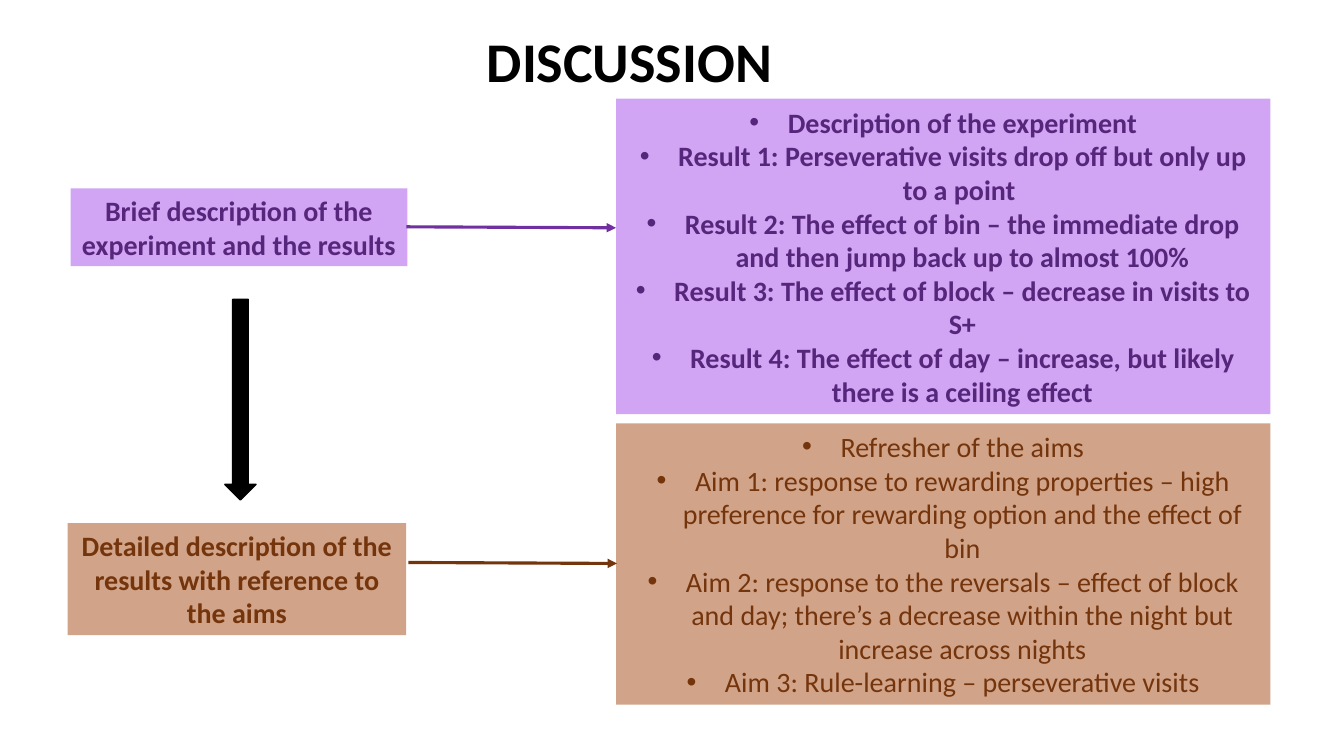
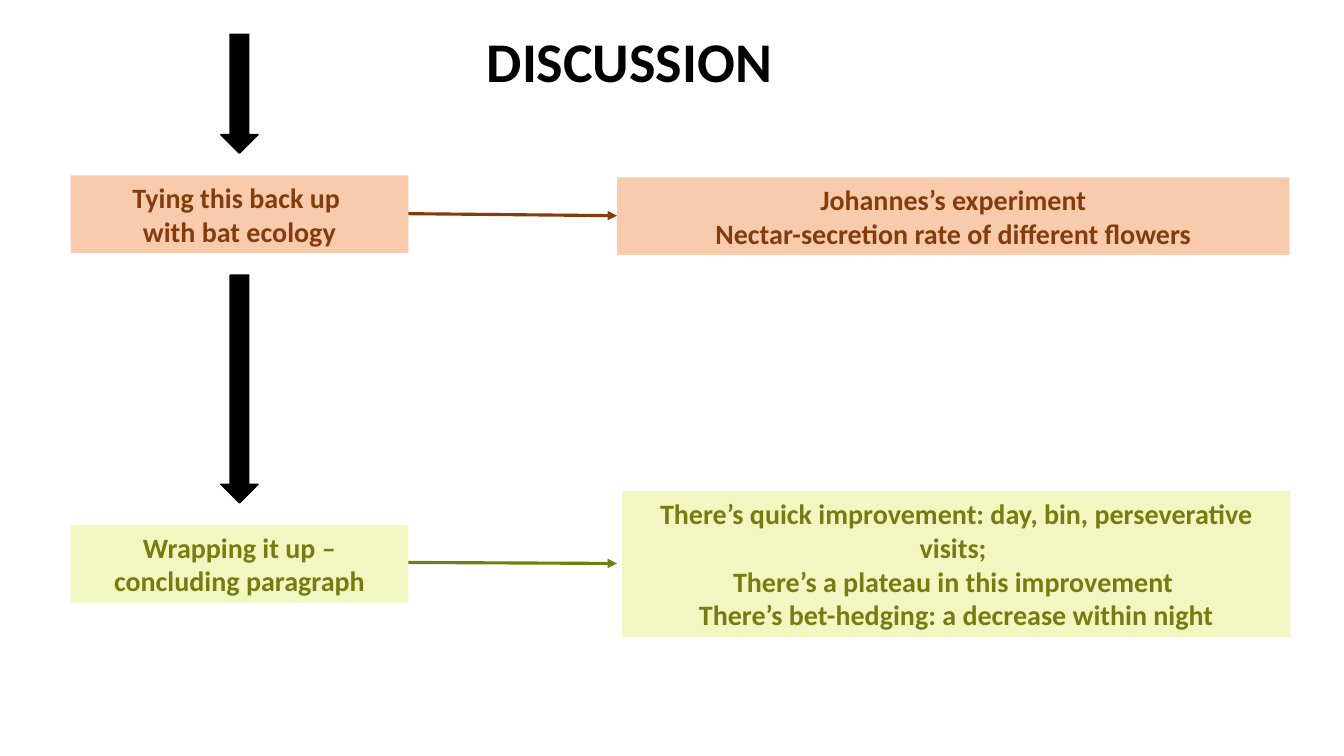
from pptx import Presentation
from pptx.dml.color import RGBColor
from pptx.enum.shapes import MSO_CONNECTOR as Link, MSO_SHAPE as Form
from pptx.enum.text import MSO_ANCHOR as Anchor, MSO_AUTO_SIZE as Fit, PP_ALIGN as Align
from pptx.oxml.ns import qn
from pptx.util import Inches, Pt
from lxml.etree import SubElement as Sub, Element

# Colours
BLACK = RGBColor(0x00, 0x00, 0x00)
PLUM, LILAC = RGBColor(0x56, 0x26, 0x7C), RGBColor(0xA4, 0x4C, 0xE9)
VIOLET = RGBColor(0x70, 0x30, 0xA0)
BROWN, TAN = RGBColor(0x74, 0x34, 0x0C), RGBColor(0xA4, 0x49, 0x13)
RUST, PEACH = RGBColor(0x84, 0x3C, 0x0B), RGBColor(0xF8, 0xCB, 0xAD)
OLIVE, LIME = RGBColor(0x73, 0x7E, 0x10), RGBColor(0xCB, 0xE0, 0x00)

# Grid: ten columns and ten rows to the inch
CELL = Inches(0.1)
LEFT, RIGHT = 40.5, 61.2    # ends of the links


def grid(*cells):
    return [round(n * CELL) for n in cells]


class Deck:
    font, size, head = "Calibri", Pt(20), Pt(40)

    def __init__(self):
        self.prs = Presentation()
        self.prs.slide_width, self.prs.slide_height = Inches(13.33), Inches(7.5)

    def page(self, title):
        self.slide = self.prs.slides.add_slide(self.prs.slide_layouts[6])
        box = self.slide.shapes.add_textbox(*grid(47.3, 2.1, 30.6, 7.7))
        frame = box.text_frame
        frame.word_wrap = False
        frame.auto_size = Fit.SHAPE_TO_FIT_TEXT
        frame.text = title
        self.style(frame.paragraphs[0], BLACK, self.head, True)

    def style(self, para, ink, size, bold):
        for run in para.runs:
            font = run.font
            font.name, font.size, font.bold = self.font, size, bold
            font.color.rgb = ink

    def shape(self, form, area, fill):
        shape = self.slide.shapes.add_shape(form, *grid(*area))
        shape.shadow.inherit = False
        shape.fill.solid()
        shape.fill.fore_color.rgb = fill
        return shape

    def box(self, area, lines, ink, fill, alpha=100, dots=False, bold=True):
        shape = self.shape(Form.RECTANGLE, area, fill)
        shape.line.fill.background()
        if alpha < 100:
            tint = shape.fill._xPr.find(".//" + qn("a:srgbClr"))
            Sub(tint, qn("a:alpha"), val=str(alpha * 1000))
        frame = shape.text_frame
        frame.word_wrap = True
        frame.auto_size = Fit.SHAPE_TO_FIT_TEXT
        frame.vertical_anchor = Anchor.MIDDLE
        frame.text = "\n".join(lines)
        for para in frame.paragraphs:
            para.alignment = Align.CENTER
            self.style(para, ink, self.size, bold)
            if dots:
                self.dot(para)
            if not bold:
                self.edge(para, ink)

    def dot(self, para):
        props = para._p.get_or_add_pPr()
        props.set("marL", str(Inches(0.38)))
        props.set("indent", str(-Inches(0.38)))
        Sub(props, qn("a:buFont"), typeface="Arial")
        Sub(props, qn("a:buChar"), char="•")

    def edge(self, para, ink):
        for run in para.runs:
            line = Element(qn("a:ln"), w=str(Pt(0.75)))
            Sub(Sub(line, qn("a:solidFill")), qn("a:srgbClr"), val=str(ink))
            run.font._element.insert(0, line)

    def arrow(self, *area):
        shape = self.shape(Form.DOWN_ARROW, area, BLACK)
        shape.line.color.rgb = BLACK
        shape.line.width = Pt(1)

    def link(self, top, end, ink, left=LEFT, right=RIGHT):
        wire = self.slide.shapes.add_connector(
            Link.STRAIGHT, *grid(left, top, right, end))
        wire.line.color.rgb = ink
        wire.line.width = Pt(2.25)
        Sub(wire.line._get_or_add_ln(), qn("a:tailEnd"), type="triangle")
        Sub(wire._element.spPr, qn("a:effectLst"))


deck = Deck()

# Results and aims
deck.page("DISCUSSION")
deck.arrow(22.3, 29.7, 3.1, 19.9)
deck.link(55.8, 55.9, BROWN)
deck.box((7, 18.7, 33.4, 7.7),
         ["Brief description of the experiment and the results"],
         PLUM, LILAC, 50)
deck.box((61.1, 9.8, 64.9, 31.3), [
    "Description of the experiment",
    "Result 1: Perseverative visits drop off but only up to a point ",
    "Result 2: The effect of bin – the immediate drop and then jump back up "
    "to almost 100%",
    "Result 3: The effect of block – decrease in visits to S+",
    "Result 4: The effect of day – increase, but likely there is a ceiling effect",
], PLUM, LILAC, 50, dots=True)
deck.link(22.5, 22.6, VIOLET, 40.3, 61.1)
deck.box((6.7, 51.9, 33.6, 11.1),
         ["Detailed description of the results with reference to the aims"],
         BROWN, TAN, 50)
deck.box((61.1, 42, 64.9, 27.9), [
    "Refresher of the aims",
    "Aim 1: response to rewarding properties – high preference for rewarding "
    "option and the effect of bin",
    "Aim 2: response to the reversals – effect of block and day; there’s a "
    "decrease within the night but increase across nights",
    "Aim 3: Rule-learning – perseverative visits",
], BROWN, TAN, 50, dots=True, bold=False)

# Ecology and conclusion
deck.page("DISCUSSION")
deck.box((7, 52.1, 33.5, 7.7), ["Wrapping it up – concluding paragraph"],
         OLIVE, LIME, 24)
deck.box((7, 17.4, 33.5, 7.7), ["Tying this back up ", "with bat ecology"],
         RUST, PEACH)
for top, high in ((3.4, 11.8), (27.3, 22.6)):
    deck.arrow(21.9, top, 3.7, high)
deck.box((61.2, 17.6, 66.7, 7.7),
         ["Johannes’s experiment", "Nectar-secretion rate of different flowers"],
         RUST, PEACH)
deck.link(21.2, 21.4, RUST)
deck.box((61.7, 48.7, 66.3, 14.5), [
    "There’s quick improvement: day, bin, perseverative visits; ",
    "There’s a plateau in this improvement ",
    "There’s bet-hedging: a decrease within night",
], OLIVE, LIME, 24)
deck.link(55.8, 55.9, OLIVE)

deck.prs.save("out.pptx")
